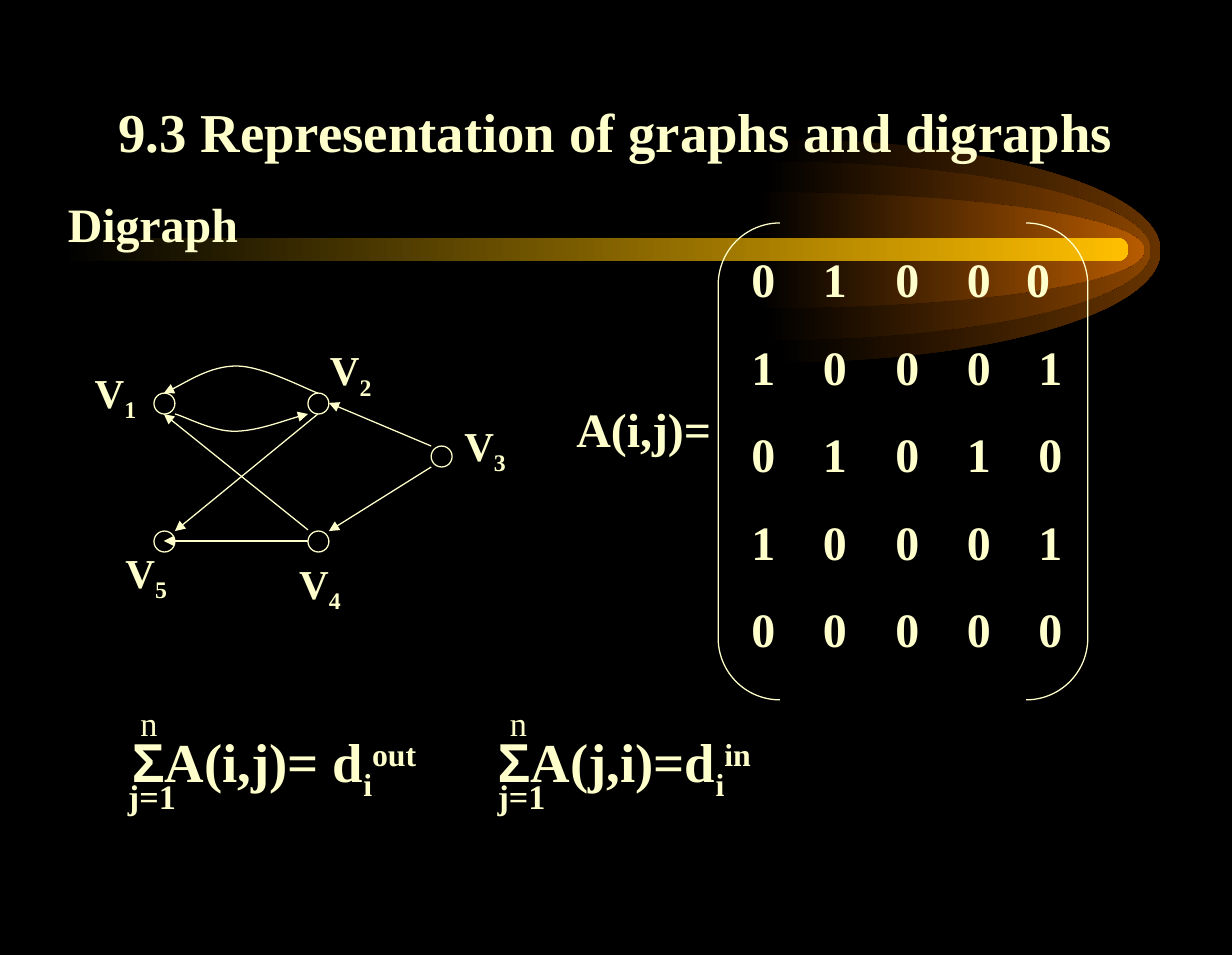
from lxml import etree
from pptx import Presentation
from pptx import util as u
from pptx.dml.color import RGBColor
from pptx.enum import shapes, text
from pptx.oxml.ns import qn

PX = 9144  # 100 px to the inch
C = {"bg": "000000", "ink": "FFFFCC", "bar": "FFBF00",
     "outer": "663300", "middle": "894400", "inner": "B75B00"}
SERIF, SANS = "Times New Roman", "Arial"


def px(n):
    return u.Emu(round(n * PX))


def rgb(name):
    return RGBColor.from_string(C[name])


def add_text(s, x, y, w, h, paras, size=28, bold=True, align=None,
             anchor=text.MSO_ANCHOR.TOP, before=0, tabs=(), left=10, top=5):
    """Each paragraph is a list of (text, format) runs; tabs holds stops per paragraph."""
    tf = s.shapes.add_textbox(px(x), px(y), px(w), px(h)).text_frame
    tf.word_wrap = True
    tf.vertical_anchor = anchor
    tf.margin_left, tf.margin_top = px(left), px(top)
    for i, runs in enumerate(paras):
        p = tf.add_paragraph() if i else tf.paragraphs[0]
        if i:
            p.space_before = u.Pt(before)
        if align is not None:
            p.alignment = align
        if tabs:
            lst = etree.SubElement(p._p.get_or_add_pPr(), qn("a:tabLst"))
            for stop in tabs[i]:
                etree.SubElement(lst, qn("a:tab"), pos=str(px(stop)), algn="l")
        for words, fmt in runs:
            r = p.add_run()
            r.text = words
            r.font.size, r.font.bold = u.Pt(size), bold
            r.font.name = fmt.get("font", SERIF)
            r.font.color.rgb = rgb("ink")
            if "base" in fmt:
                r.font._element.set("baseline", str(fmt["base"] * 1000))


def fade(sp, color):
    """Fill from the background colour on the left to the given colour."""
    sp.shadow.inherit = False
    sp.line.fill.background()
    sp.fill.gradient()
    sp.fill.gradient_angle = 0
    for stop, name, pos in zip(sp.fill.gradient_stops, ("bg", color), (0, 1)):
        stop.color.rgb, stop.position = rgb(name), pos


def outline(sp, arrow=False):
    sp.line.color.rgb, sp.line.width = rgb("ink"), u.Pt(0.75)
    if arrow:
        etree.SubElement(sp.line._get_or_add_ln(), qn("a:tailEnd"), type="triangle")


def add_outlined(s, kind, x, y, w, h):
    sp = s.shapes.add_shape(kind, px(x), px(y), px(w), px(h))
    sp.shadow.inherit = False
    sp.fill.background()
    outline(sp)
    return sp


def add_curve(s, x, y, points, corners=(), close=False):
    """Start point, then three points for each Bezier arc, then straight corners."""
    pts = [(px(x + a), px(y + b)) for a, b in (*points, *corners)]
    fb = s.shapes.build_freeform(*pts[0], scale=1.0)
    fb.add_line_segments(pts[1:], close=close)
    sp = fb.convert_to_shape()
    sp.shadow.inherit = False
    # Turn each three line segments of the arcs into one Bezier segment
    lines = list(sp._element.iter(qn("a:lnTo")))[:len(points) - 1]
    for i in range(0, len(lines), 3):
        arc = etree.Element(qn("a:cubicBezTo"))
        lines[i].addprevious(arc)
        for ln in lines[i:i + 3]:
            arc.append(ln[0])
            ln.getparent().remove(ln)
    return sp


def comet(s, x, y):
    # Half ellipses, widest at the back
    for dx, dy, h, color in ((579, 0, 181, "outer"), (571, 18, 145, "middle"),
                             (566, 43, 94, "inner")):
        arcs = [(0, 0), (173, 0), (313, h * 0.22), (313, h / 2),
                (313, h * 0.78), (173, h), (0, h)]
        fade(add_curve(s, x + dx, y + dy, arcs, [(0, h / 2)], close=True), color)
    # Bright bar
    bar = s.shapes.add_shape(shapes.MSO_SHAPE.ROUNDED_RECTANGLE,
                             px(x), px(y + 80), px(866), px(19))
    bar.adjustments[0] = 0.5
    fade(bar, "bar")


def digraph(s, x, y):
    # Vertices: circle position, label position and width
    for n, (cx, cy), (lx, ly, w) in ((1, (58, 44), (0, 18, 58)), (2, (183, 44), (191, 0, 83)),
                                     (3, (283, 87), (300, 61, 58)),
                                     (4, (183, 156), (166, 173, 92)),
                                     (5, (58, 156), (25, 164, 67))):
        add_outlined(s, shapes.MSO_SHAPE.OVAL, x + cx, y + cy, 17, 17)
        add_text(s, x + lx, y + ly, w, 56, [[("V", {}), (str(n), {"base": -25})]], size=24)
    # Curved edges
    for points in (((75, 61), (83, 63), (105, 75), (123, 75), (141, 75), (170, 64), (183, 61)),
                   ((191, 44), (180, 40), (146, 22), (125, 22), (104, 22), (78, 39), (66, 44))):
        sp = add_curve(s, x, y, points)
        sp.fill.background()
        outline(sp, arrow=True)
    # Straight edges
    for x1, y1, x2, y2 in ((191, 61, 75, 156), (183, 155, 66, 61), (183, 164, 66, 164),
                           (283, 87, 200, 52), (283, 104, 200, 156)):
        cn = s.shapes.add_connector(shapes.MSO_CONNECTOR.STRAIGHT,
                                    px(x + x1), px(y + y1), px(x + x2), px(y + y2))
        outline(cn, arrow=True)
        etree.SubElement(cn._element.spPr, qn("a:effectLst"))


def matrix(s, x, y):
    add_text(s, x, y + 138, 167, 57, [[("A(i,j)=", {})]])
    pair = add_outlined(s, shapes.MSO_SHAPE.DOUBLE_BRACKET, x + 125, y, 300, 387)
    pair.adjustments[0] = 0.167
    # Entries on even tab stops; the last one of the first row sits closer
    rows = ("01000", "10001", "01010", "10001", "00000")
    stops = [[58, 117, 175, 233 if i else 223] for i in range(len(rows))]
    add_text(s, x + 142, y + 17, 308, 341, [[("\t".join(row), {})] for row in rows],
             before=17.5, tabs=stops)


def degree_sums(s, x, y):
    sub, sup, sigma = {"base": -25}, {"base": 30}, ("Σ", {"font": SANS})
    add_text(s, x, y + 21, 900, 71,
             [[sigma, ("A(i,j)= d", {}), ("i", sub), ("out", sup), ("\t", {}),
               sigma, ("A(j,i)=d", {}), ("i", sub), ("in", sup)]],
             size=32, tabs=[[297]], left=49)
    # Limits of each sum
    for left in (x + 36, x + 336):
        add_text(s, left, y + 59, 75, 43, [[("j=1", {})]], size=20)
        add_text(s, left + 10, y, 42, 43, [[("n", {})]], size=20, bold=False)


def headings(s, x, y):
    add_text(s, x + 42, y, 850, 86, [[("9.3 Representation of graphs and digraphs", {})]],
             size=32, align=text.PP_ALIGN.CENTER, anchor=text.MSO_ANCHOR.BOTTOM)
    add_text(s, x, y + 94, 925, 568, [[("Digraph", {})]], left=22, top=12)


def main():
    prs = Presentation()
    prs.slide_width, prs.slide_height = px(1000), px(775)
    s = prs.slides.add_slide(prs.slide_layouts[6])
    s.background.fill.solid()
    s.background.fill.fore_color.rgb = rgb("bg")
    comet(s, 50, 113)
    headings(s, 33, 52)
    digraph(s, 67, 275)
    matrix(s, 458, 181)
    degree_sums(s, 58, 565)
    prs.save("out.pptx")


if __name__ == "__main__":
    main()
